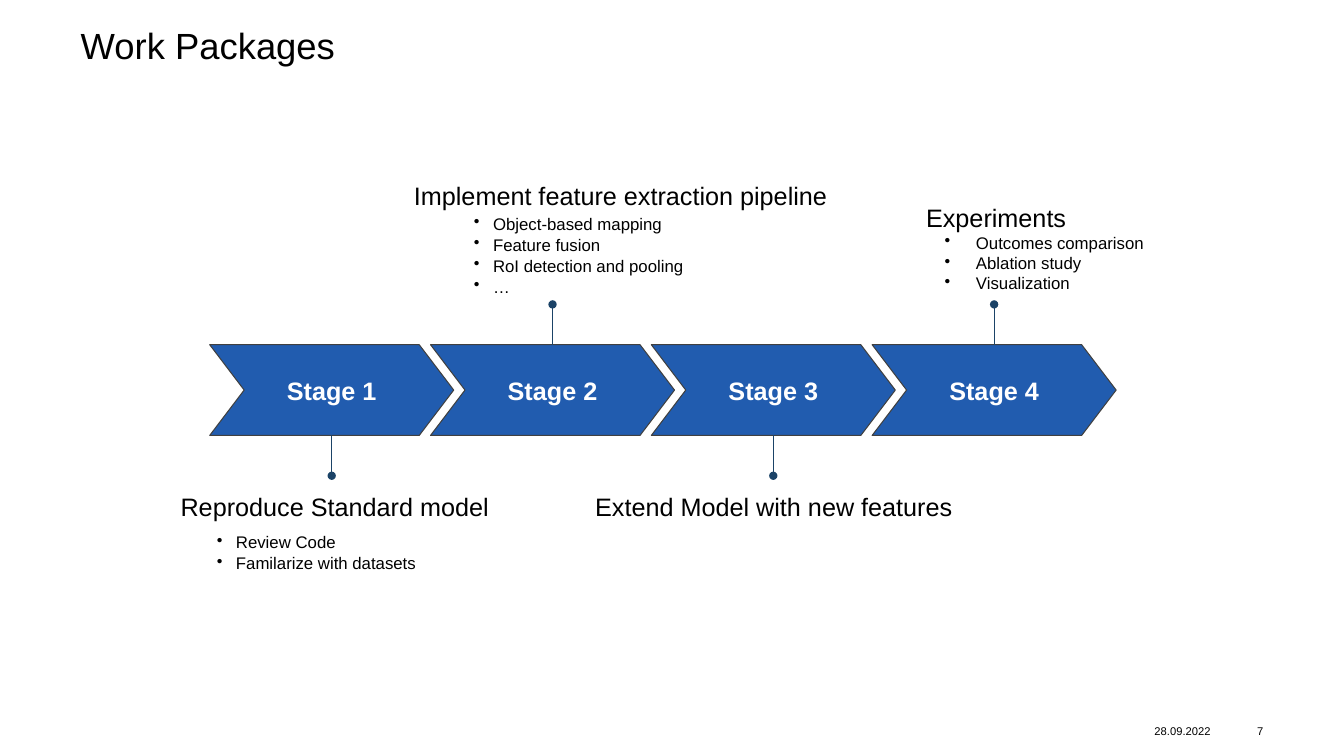
from dataclasses import dataclass

from lxml import etree
from pptx import Presentation
from pptx import util as u
from pptx.dml.color import RGBColor
from pptx.enum import shapes, text
from pptx.oxml.ns import qn

PX = 9144  # EMU per px, 100 px to the inch


@dataclass(frozen=True)
class Theme:
    font: str = "Arial"
    ink: str = "000000"
    paper: str = "FFFFFF"
    stage: str = "215CAF"
    outline: str = "404040"
    stem: str = "1B4367"
    title_pt: int = 26
    heading_pt: int = 18
    item_pt: int = 12
    footer_pt: int = 8
    line_pt: float = 0.75


def set_all(obj, values):
    for name, value in values.items():
        setattr(obj, name, value)


class Deck:
    def __init__(self, theme):
        self.theme = theme
        self.prs = Presentation()
        set_all(self.prs, {"slide_width": 1333 * PX, "slide_height": 750 * PX})
        self.s = self.prs.slides.add_slide(self.prs.slide_layouts[5])

    def frame(self, sp, margins=(7, 4), anchor=text.MSO_ANCHOR.TOP, wrap=True):
        across, down = (m * PX for m in margins)
        set_all(sp.text_frame, {
            "margin_left": across, "margin_right": across,
            "margin_top": down, "margin_bottom": down,
            "vertical_anchor": anchor, "word_wrap": wrap,
            "auto_size": text.MSO_AUTO_SIZE.NONE,
        })
        return sp.text_frame

    def add_text(self, p, words, size, color=None, bold=False,
                 align=text.PP_ALIGN.LEFT, spacing=None):
        set_all(p, {"alignment": align, "line_spacing": spacing})
        r = p.add_run()
        r.text = words
        set_all(r.font, {"name": self.theme.font, "size": u.Pt(size), "bold": bold})
        r.font.color.rgb = RGBColor.from_string(color or self.theme.ink)

    def bullets(self, tf, items, left, hang, **style):
        """Fill the frame with items, after any heading already in it."""
        for item in items:
            p = tf.add_paragraph() if tf.paragraphs[-1].runs else tf.paragraphs[-1]
            self.add_text(p, item, self.theme.item_pt, **style)
            pPr = p._p.get_or_add_pPr()
            pPr.set("marL", str(left * PX))
            pPr.set("indent", str(-hang * PX))
            etree.SubElement(pPr, qn("a:buChar")).set("char", "•")

    def box(self, at, **frame):
        return self.frame(self.s.shapes.add_textbox(*(v * PX for v in at)), **frame)

    def title(self, words, at):
        sp = self.s.shapes.title
        set_all(sp, dict(zip(("left", "top", "width", "height"), (v * PX for v in at))))
        tf = self.frame(sp, margins=(0, 0))
        self.add_text(tf.paragraphs[0], words, self.theme.title_pt, spacing=0.9)

    def footer(self, words, at, align):
        tf = self.box(at, margins=(0, 0), anchor=text.MSO_ANCHOR.MIDDLE)
        self.add_text(tf.paragraphs[0], words, self.theme.footer_pt, align=align)

    def heading(self, words, at, wrap=False):
        tf = self.box(at, wrap=wrap)
        self.add_text(tf.paragraphs[0], words, self.theme.heading_pt, align=text.PP_ALIGN.CENTER)
        return tf

    def item_list(self, items, at):
        self.bullets(self.box(at), items, 19, 19, spacing=u.Pt(15))

    def chevron(self, words, at):
        t = self.theme
        sp = self.s.shapes.add_shape(shapes.MSO_SHAPE.CHEVRON, *(v * PX for v in at))
        sp.adjustments[0] = 0.38
        sp.shadow.inherit = False
        sp.fill.solid()
        sp.fill.fore_color.rgb = RGBColor.from_string(t.stage)
        sp.line.color.rgb = RGBColor.from_string(t.outline)
        sp.line.width = u.Pt(t.line_pt)
        tf = self.frame(sp, anchor=text.MSO_ANCHOR.MIDDLE)
        self.add_text(tf.paragraphs[0], words, t.heading_pt, t.paper, True, text.PP_ALIGN.CENTER)

    def stem(self, x, start, end):
        """Draw a vertical line with a dot at its end."""
        c = self.s.shapes.add_connector(
            shapes.MSO_CONNECTOR.STRAIGHT, *(v * PX for v in (x, start, x, end)))
        c.line.color.rgb = RGBColor.from_string(self.theme.stem)
        c.line.width = u.Pt(self.theme.line_pt)
        spPr = c._element.spPr
        etree.SubElement(spPr.get_or_add_ln(), qn("a:tailEnd")).set("type", "oval")
        etree.SubElement(spPr, qn("a:effectLst"))


def main():
    deck = Deck(Theme())
    deck.title("Work Packages", (80, 28, 1173, 98))
    deck.footer("28.09.2022", (1145, 713, 67, 24), text.PP_ALIGN.LEFT)
    deck.footer("7", (1218, 713, 35, 24), text.PP_ALIGN.RIGHT)

    left, top, width, height, step, reach = 208, 342, 242, 90, 219, 40
    for i in range(4):
        x = left + i * step
        deck.chevron(f"Stage {i + 1}", (x, top, width, height))
        if i % 2:
            deck.stem(x + width // 2, top, top - reach)
        else:
            deck.stem(x + width // 2, top + height, top + height + reach)

    deck.heading("Reproduce Standard model", (170, 483, 324, 38))
    deck.item_list(["Review Code", "Familarize with datasets"], (208, 523, 305, 69))
    deck.heading("Implement feature extraction pipeline", (401, 175, 429, 38))
    deck.item_list(["Object-based mapping", "Feature fusion", "RoI detection and pooling", "…"],
                   (463, 207, 305, 92))
    deck.heading("Extend Model with new features", (581, 483, 373, 38))
    experiments = deck.heading("Experiments", (830, 197, 316, 129), wrap=True)
    deck.bullets(experiments, ["Outcomes comparison", "Ablation study", "Visualization"],
                 131, 31, align=text.PP_ALIGN.JUSTIFY)
    deck.prs.save("out.pptx")


if __name__ == "__main__":
    main()
